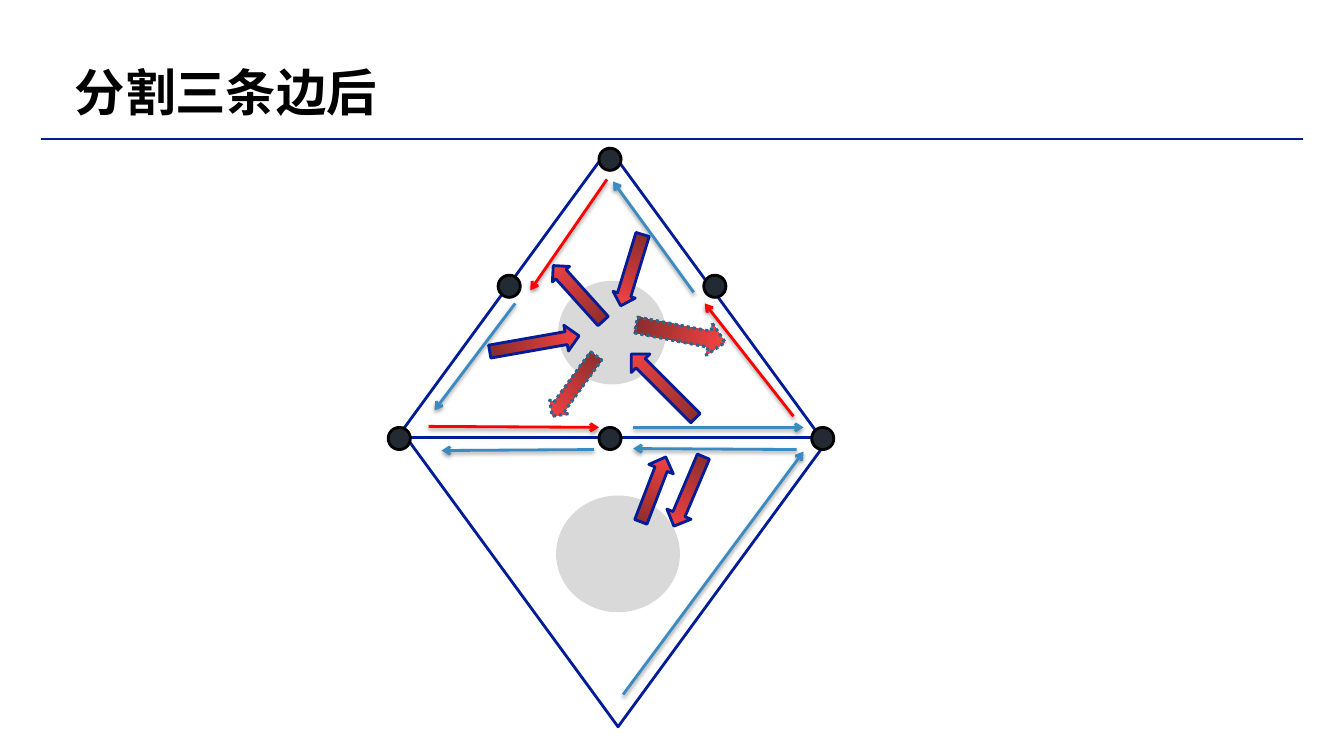
from lxml.etree import SubElement
from pptx import Presentation
from pptx.dml.color import RGBColor
from pptx.enum.dml import MSO_LINE
from pptx.enum.shapes import MSO_CONNECTOR, MSO_SHAPE as Preset
from pptx.enum.text import MSO_ANCHOR, PP_ALIGN
from pptx.oxml import parse_xml
from pptx.oxml.ns import nsdecls, qn
from pptx.util import Inches, Pt

NAVY = RGBColor(0x01, 0x1C, 0x96)
BLUE = RGBColor(0x3A, 0x8B, 0xC1)
TEAL = RGBColor(0x2B, 0x67, 0x8F)
RED = RGBColor(0xFF, 0x00, 0x00)
BRIGHT_RED = RGBColor(0xFE, 0x44, 0x44)
DARK_RED = RGBColor(0x83, 0x2B, 0x2B)
GREY = RGBColor(0xD9, 0xD9, 0xD9)
SLATE = RGBColor(0x22, 0x2A, 0x34)
BLACK = RGBColor(0x00, 0x00, 0x00)

TITLE = "分割三条边后"
TITLE_BOX = (0.69, 0.58, 7.63, 0.66)
RULE = ((0.41, 1.38), (12.92, 1.38))
FACES = [(6.07, 3.30, 1.04, 1.00), (6.13, 5.495, 1.20, 1.13)]
TRIANGLE_SIZE = (4.20, 2.87)
BASE_Y = 4.34
TRIANGLES = [(6.04, -0.5, 0), (6.13, 0.5, 180)]
VERTEX_SIZE = 0.22
VERTICES = [
    (6.05, 1.58), (5.05, 2.84), (7.09, 2.84),
    (3.96, 4.35), (6.05, 4.35), (8.16, 4.35),
]
HALF_EDGES = [
    ((5.89, 4.46), (4.38, 4.47), BLUE),
    ((6.18, 6.89), (7.97, 4.48), BLUE),
    ((6.28, 4.24), (7.97, 4.24), BLUE),
    ((4.25, 4.23), (5.94, 4.24), RED),
    ((7.90, 4.46), (6.28, 4.45), BLUE),
    ((6.88, 2.90), (6.08, 1.80), BLUE),
    ((7.87, 4.13), (6.99, 3.01), RED),
    ((5.11, 3.01), (4.31, 4.07), BLUE),
    ((6.02, 1.78), (5.26, 2.88), RED),
]
SHAFT = 0.5
WIDE_SHAFT = 0.598
POINTERS = [
    (6.48, 4.855, 0.26, 0.69, 21, SHAFT, False),
    (6.83, 4.875, 0.26, 0.75, 203, SHAFT, False),
    (5.695, 3.83, 0.23, 0.74, 216, WIDE_SHAFT, True),
    (6.58, 3.83, 0.26, 0.90, 315, SHAFT, False),
    (6.265, 2.68, 0.23, 0.74, 197, WIDE_SHAFT, False),
    (6.75, 3.31, 0.32, 0.90, 101, SHAFT, True),
    (5.735, 2.91, 0.23, 0.74, 318, WIDE_SHAFT, False),
    (5.30, 3.41, 0.26, 0.90, 80, SHAFT, False),
]
EDGE_SHADOW = (
    f'<a:effectLst {nsdecls("a")}>'
    '<a:outerShdw blurRad="38100" dist="20320" dir="5400000" rotWithShape="0">'
    '<a:srgbClr val="000000"><a:alpha val="38000"/></a:srgbClr>'
    '</a:outerShdw></a:effectLst>'
)
NO_EFFECT = f'<a:effectLst {nsdecls("a")}/>'


def set_line(line, color, width=2):
    line.color.rgb = color
    line.width = Pt(width)


def add_centred(slide, preset, x, y, width, height, color, line_width=2, fill=None):
    box = (x - width / 2, y - height / 2, width, height)
    shape = slide.shapes.add_shape(preset, *map(Inches, box))
    shape.shadow.inherit = False
    set_line(shape.line, color, line_width)
    if fill is None:
        shape.fill.background()
    else:
        shape.fill.solid()
        shape.fill.fore_color.rgb = fill
    return shape


def add_line(slide, start, end, color, width, effect):
    connector = slide.shapes.add_connector(
        MSO_CONNECTOR.STRAIGHT, *map(Inches, (*start, *end)))
    set_line(connector.line, color, width)
    connector._element.spPr.append(parse_xml(effect))
    return connector


def add_half_edge(slide, start, end, color):
    connector = add_line(slide, start, end, color, 2, EDGE_SHADOW)
    SubElement(connector.line._get_or_add_ln(), qn("a:tailEnd"), type="arrow")


def add_pointer(slide, x, y, width, height, rotation, shaft, dotted):
    color, line_width = (TEAL, 2.25) if dotted else (NAVY, 2)
    arrow = add_centred(slide, Preset.UP_ARROW, x, y, width, height, color, line_width)
    arrow.rotation = rotation
    arrow.adjustments[0] = shaft
    arrow.fill.gradient()
    arrow.fill.gradient_angle = 270
    stops = zip(arrow.fill.gradient_stops, (0, 1), (BRIGHT_RED, DARK_RED))
    for stop, position, stop_color in stops:
        stop.position = position
        stop.color.rgb = stop_color
    if dotted:
        arrow.line.dash_style = MSO_LINE.ROUND_DOT


def add_title(slide):
    title = slide.shapes.title
    for name, value in zip(("left", "top", "width", "height"), TITLE_BOX):
        setattr(title, name, Inches(value))
    frame = title.text_frame
    frame.text = TITLE
    frame.vertical_anchor = MSO_ANCHOR.MIDDLE
    for side in ("left", "top", "right", "bottom"):
        setattr(frame, f"margin_{side}", Inches(0.05))
    paragraph = frame.paragraphs[0]
    paragraph.alignment = PP_ALIGN.LEFT
    paragraph.space_before = Pt(6)
    font = paragraph.runs[0].font
    for name, value in {"name": "Calibri", "size": Pt(36), "bold": True}.items():
        setattr(font, name, value)
    font.color.rgb = BLACK


def main():
    presentation = Presentation()
    presentation.slide_width = Inches(13.33)
    presentation.slide_height = Inches(7.5)
    slide = presentation.slides.add_slide(presentation.slide_layouts[5])
    add_line(slide, *RULE, NAVY, 1.5, NO_EFFECT)
    add_title(slide)
    for face in FACES:
        add_centred(slide, Preset.OVAL, *face, GREY, fill=GREY)
    width, height = TRIANGLE_SIZE
    for x, offset, rotation in TRIANGLES:
        triangle = add_centred(slide, Preset.ISOSCELES_TRIANGLE, x,
                               BASE_Y + offset * height, width, height, NAVY)
        triangle.rotation = rotation
    for vertex in VERTICES:
        add_centred(slide, Preset.OVAL, *vertex, VERTEX_SIZE, VERTEX_SIZE,
                    BLACK, fill=SLATE)
    for half_edge in HALF_EDGES:
        add_half_edge(slide, *half_edge)
    for pointer in POINTERS:
        add_pointer(slide, *pointer)
    presentation.save("out.pptx")


if __name__ == "__main__":
    main()
